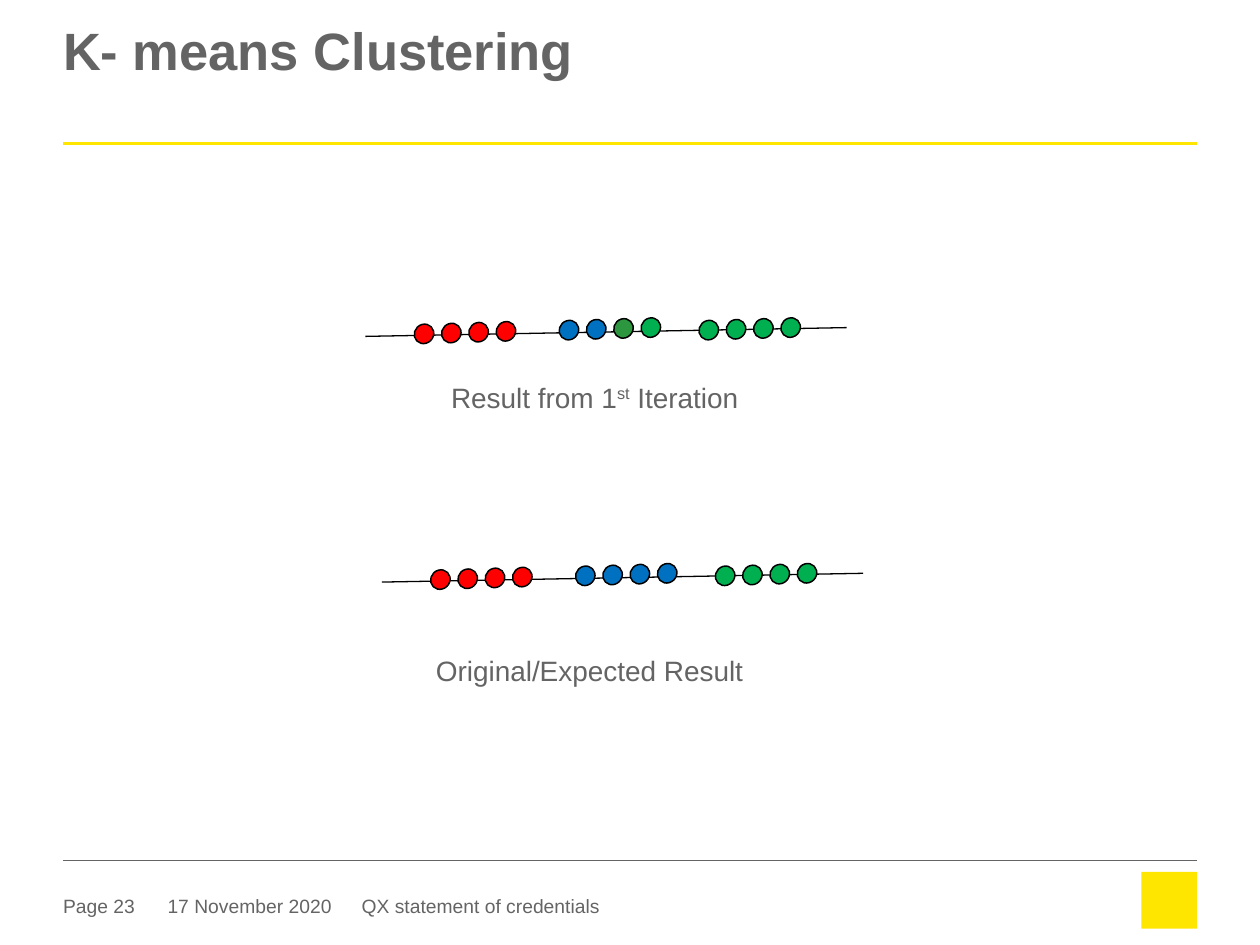
from dataclasses import dataclass

from lxml import etree
from pptx import Presentation
from pptx.dml.color import RGBColor
from pptx.enum.shapes import MSO_CONNECTOR, MSO_SHAPE
from pptx.enum.text import MSO_ANCHOR, MSO_AUTO_SIZE, PP_ALIGN
from pptx.oxml.ns import qn
from pptx.util import Inches, Pt


@dataclass(frozen=True)
class Theme:
    font: str = "Arial"
    grey: str = "646464"
    yellow: str = "FFE600"
    black: str = "000000"
    red: str = "FF0000"
    blue: str = "0070C0"
    green: str = "00B050"
    mixed_green: str = "2C973E"
    title_size: float = 30
    caption_size: float = 16
    footer_size: float = 11


THEME = Theme()

# Cluster geometry, measured from the left end of the number line
LINE_RUN, LINE_RISE = 3.82, 0.07
CLUSTER_STARTS = [(0.39, -0.10), (1.54, -0.13), (2.65, -0.13)]
CLUSTER_RUN, CLUSTER_RISE = 0.65, 0.02
POINT_W, POINT_H, POINT_ANGLE = 0.15, 0.16, 45.5


def rgb(color):
    return RGBColor.from_string(color)


def format_frame(tf, size, bold=False, top=0, line_spacing=None, wrap=True):
    tf.margin_left = tf.margin_right = tf.margin_bottom = 0
    tf.margin_top = Inches(top)
    tf.word_wrap = wrap
    tf.auto_size = MSO_AUTO_SIZE.NONE
    tf.vertical_anchor = MSO_ANCHOR.TOP
    p = tf.paragraphs[0]
    p.alignment = PP_ALIGN.LEFT
    p.line_spacing = line_spacing
    p.font.name = THEME.font
    p.font.size = Pt(size)
    p.font.bold = bold
    p.font.color.rgb = rgb(THEME.grey)


def add_title(s, text):
    title = s.shapes.title
    title.left, title.top = Inches(0.5), Inches(0.22)
    title.width, title.height = Inches(9), Inches(0.94)
    title.text_frame.text = text
    format_frame(title.text_frame, THEME.title_size, bold=True, line_spacing=0.85)


def add_line(shapes, x1, y1, x2, y2, color, weight):
    line = shapes.add_connector(MSO_CONNECTOR.STRAIGHT, Inches(x1), Inches(y1),
                                Inches(x2), Inches(y2))
    line.line.color.rgb = rgb(color)
    line.line.width = Pt(weight)
    etree.SubElement(line._element.spPr, qn("a:effectLst"))


def add_point(shapes, x, y, color):
    point = shapes.add_shape(MSO_SHAPE.FLOWCHART_CONNECTOR, Inches(x), Inches(y),
                             Inches(POINT_W), Inches(POINT_H))
    point.rotation = POINT_ANGLE
    point.shadow.inherit = False
    point.fill.solid()
    point.fill.fore_color.rgb = rgb(color)
    point.line.color.rgb = rgb(THEME.black)
    point.line.width = Pt(0.85)


def add_number_line(s, x, y, clusters):
    """Draw a slanted line that carries one row of points per cluster."""
    shapes = s.shapes.add_group_shape().shapes
    add_line(shapes, x, y, x + LINE_RUN, y - LINE_RISE, THEME.black, 0.75)
    for (dx, dy), colors in zip(CLUSTER_STARTS, clusters):
        for i, color in enumerate(colors):
            t = i / (len(colors) - 1)
            add_point(shapes, x + dx + t * CLUSTER_RUN,
                      y + dy - t * CLUSTER_RISE, color)


def add_caption(s, x, y, parts):
    """Write (text, is_superscript) parts as one line."""
    tf = s.shapes.add_textbox(Inches(x), Inches(y), Inches(3.06), Inches(0.27)).text_frame
    p = tf.paragraphs[0]
    for text, superscript in parts:
        r = p.add_run()
        r.text = text
        if superscript:
            r.font._element.set("baseline", "30000")
    format_frame(tf, THEME.caption_size, top=0.04, line_spacing=0.85)
    p.space_after = Pt(6)


def add_footer_text(s, x, width, text, wrap=True):
    tf = s.shapes.add_textbox(Inches(x), Inches(7.1), Inches(width), Inches(0.22)).text_frame
    tf.text = text
    format_frame(tf, THEME.footer_size, wrap=wrap)


def add_brand_block(s):
    block = s.shapes.add_shape(MSO_SHAPE.RECTANGLE, Inches(9.06), Inches(6.92),
                               Inches(0.44), Inches(0.45))
    block.shadow.inherit = False
    block.fill.solid()
    block.fill.fore_color.rgb = rgb(THEME.yellow)
    block.line.fill.background()


def main():
    prs = Presentation()
    prs.slide_width, prs.slide_height = Inches(10), Inches(7.5)
    s = prs.slides.add_slide(prs.slide_layouts[5])

    # Footer and rules
    add_footer_text(s, 0.5, 0.79, "Page 23")
    add_footer_text(s, 1.33, 1.3, "17 November 2020", wrap=False)
    add_footer_text(s, 2.87, 3.72, "QX statement of credentials")
    add_brand_block(s)
    add_line(s.shapes, 0.5, 1.14, 9.5, 1.14, THEME.yellow, 1.5)
    add_line(s.shapes, 0.5, 6.83, 9.5, 6.83, THEME.grey, 0.25)

    add_title(s, "K- means Clustering")

    # Clusters after the first iteration, then as expected
    reds, blues, greens = ([c] * 4 for c in (THEME.red, THEME.blue, THEME.green))
    first_middle = [THEME.blue, THEME.blue, THEME.mixed_green, THEME.green]
    add_number_line(s, 2.9, 2.67, [reds, first_middle, greens])
    add_number_line(s, 3.03, 4.62, [reds, blues, greens])
    add_caption(s, 3.58, 3.02, [("Result from 1", False), ("st", True),
                                (" Iteration", False)])
    add_caption(s, 3.46, 5.19, [("Original/Expected Result", False)])

    prs.save("out.pptx")


if __name__ == "__main__":
    main()
